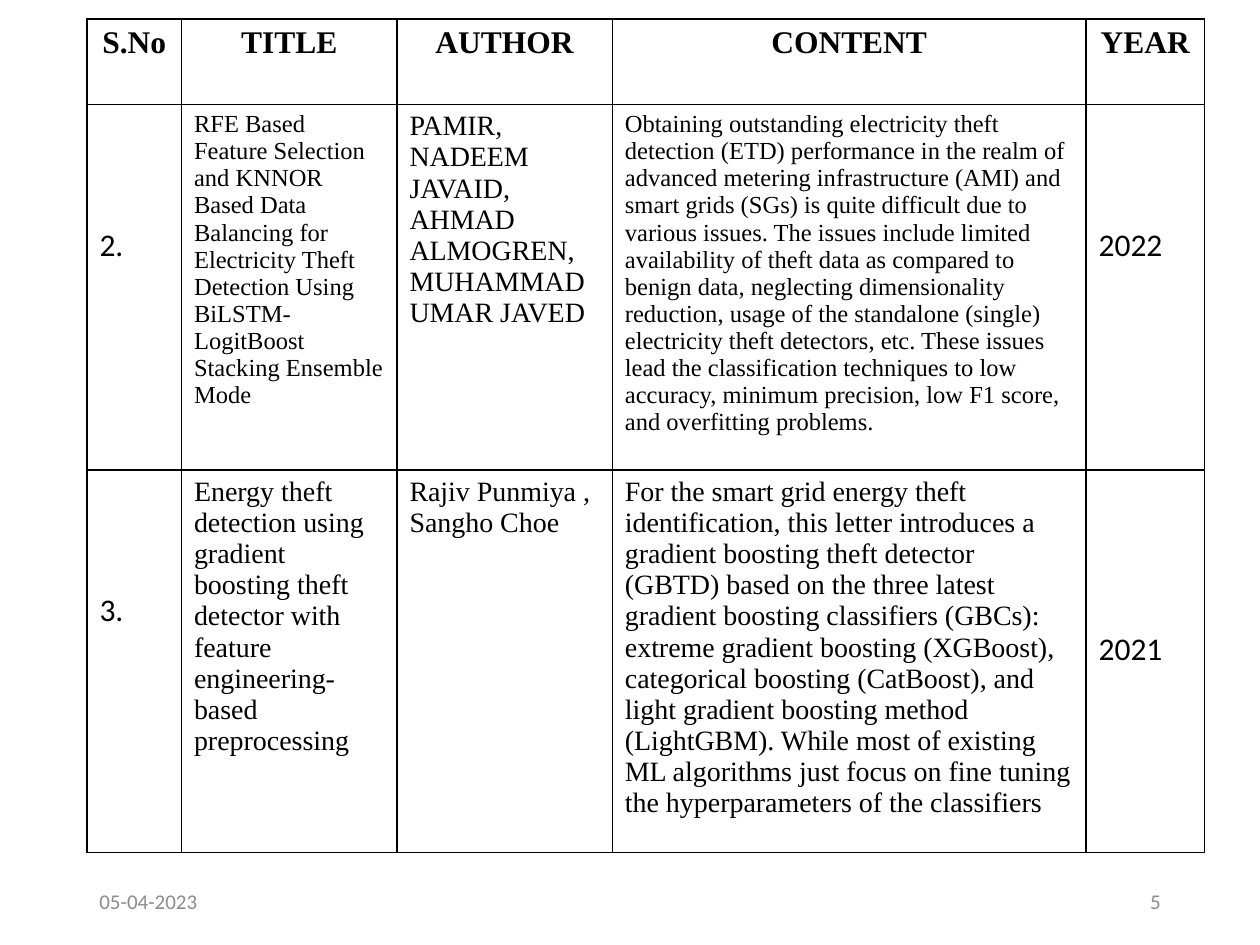
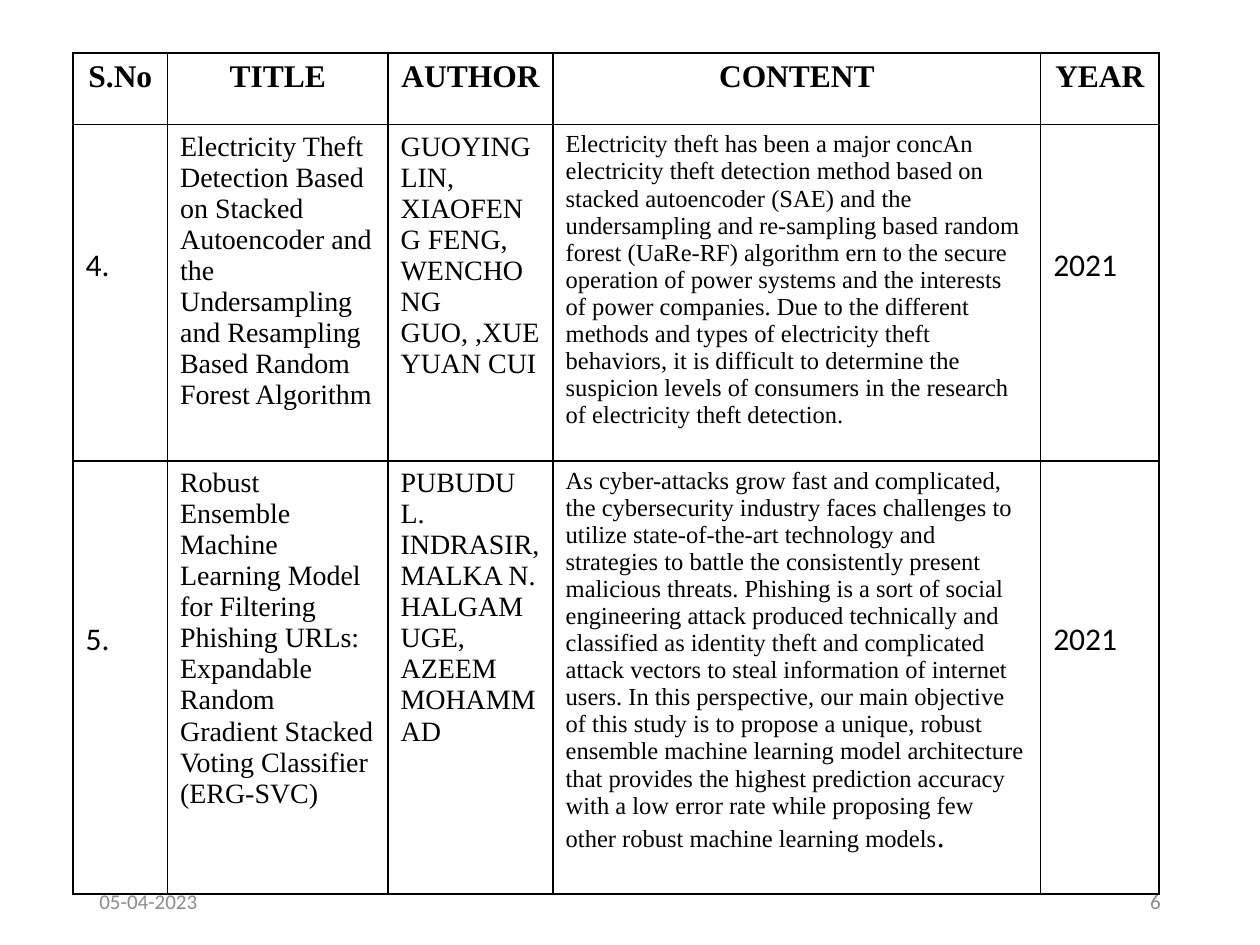
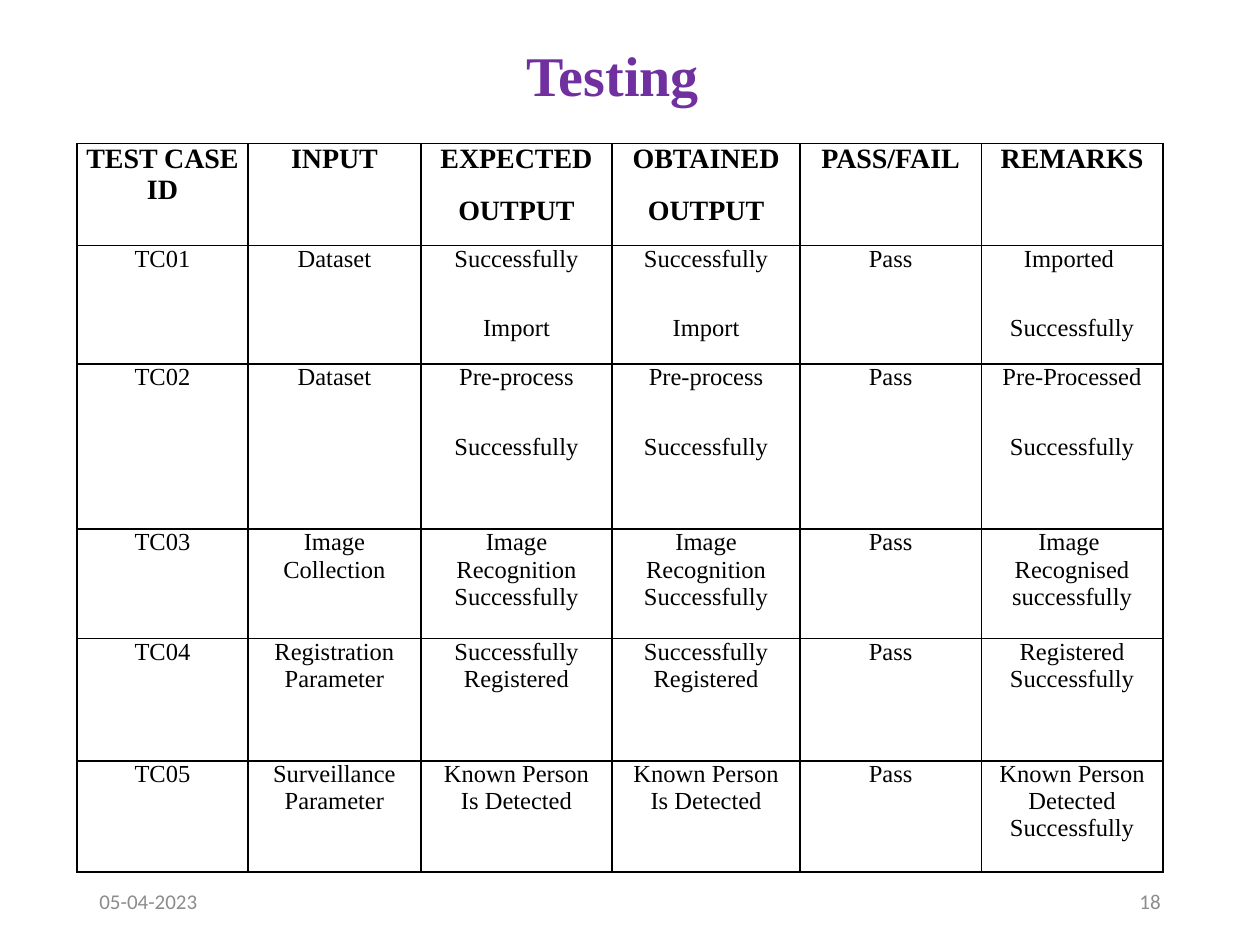
from lxml.etree import SubElement
from pptx import Presentation
from pptx.dml.color import RGBColor
from pptx.enum.text import MSO_ANCHOR as Anchor, PP_ALIGN as Align
from pptx.oxml.ns import qn
from pptx.util import Inches, Pt

BLACK = RGBColor(0x00, 0x00, 0x00)
GRAY = RGBColor(0x8C, 0x8C, 0x8C)
PURPLE = RGBColor(0x70, 0x30, 0xA0)
SERIF = "Times New Roman"
SANS = "Calibri"

DATE = "05-04-2023"
SURVEY_HEADS = ["S.No", "TITLE", "AUTHOR", "CONTENT", "YEAR"]
CELL_MARGIN = 0.05
LEAD_LINE = 0.305  # height of one 18 pt line above a number or year

# Each paper: texts by column, text sizes, lines left free above number and year
SURVEYS = [
    {
        "page": 5, "at": (0.69, 0.15),
        "cols": [0.75, 1.71, 1.71, 3.76, 0.94], "rows": [0.68, 2.68, 2.92],
        "papers": [
            (["2.",
              "RFE Based Feature Selection and KNNOR Based Data Balancing for "
              "Electricity Theft Detection Using BiLSTM-LogitBoost Stacking "
              "Ensemble Mode",
              "PAMIR, NADEEM JAVAID, AHMAD ALMOGREN, MUHAMMAD UMAR JAVED",
              "Obtaining outstanding electricity theft detection (ETD) "
              "performance in the realm of advanced metering infrastructure "
              "(AMI) and smart grids (SGs) is quite difficult due to various "
              "issues. The issues include limited availability of theft data "
              "as compared to benign data, neglecting dimensionality "
              "reduction, usage of the standalone (single) electricity theft "
              "detectors, etc. These issues lead the classification "
              "techniques to low accuracy, minimum precision, low F1 score, "
              "and overfitting problems.",
              "2022"], [18, 14, 16, 14, 18], (3, 3)),
            (["3.",
              "Energy theft detection using gradient boosting theft detector "
              "with feature engineering-based preprocessing",
              "Rajiv Punmiya , Sangho Choe",
              "For the smart grid energy theft identification, this letter "
              "introduces a gradient boosting theft detector (GBTD) based on "
              "the three latest gradient boosting classifiers (GBCs): extreme "
              "gradient boosting (XGBoost), categorical boosting (CatBoost), "
              "and light gradient boosting method (LightGBM). While most of "
              "existing ML algorithms just focus on fine tuning the "
              "hyperparameters of the classifiers",
              "2021"], [18, 16, 16, 16, 18], (3, 4)),
        ],
    },
    {
        "page": 6, "at": (0.58, 0.42),
        "cols": [0.75, 1.75, 1.31, 3.87, 0.94], "rows": [0.57, 2.6, 3.17],
        "papers": [
            (["4.",
              "Electricity Theft Detection Based on Stacked Autoencoder and "
              "the Undersampling and Resampling Based Random Forest Algorithm",
              "GUOYING LIN, XIAOFENG FENG, WENCHONG GUO, ,XUEYUAN CUI",
              "Electricity theft has been a major concAn electricity theft "
              "detection method based on stacked autoencoder (SAE) and the "
              "undersampling and re-sampling based random forest (UaRe-RF) "
              "algorithm ern to the secure operation of power systems and the "
              "interests of power companies. Due to the different methods and "
              "types of electricity theft behaviors, it is difficult to "
              "determine the suspicion levels of consumers in the research of "
              "electricity theft detection.",
              "2021"], [18, 16, 16, 14, 18], (3, 3)),
            (["5.",
              "Robust Ensemble Machine Learning Model for Filtering Phishing "
              "URLs: Expandable Random Gradient Stacked Voting Classifier "
              "(ERG-SVC)",
              "PUBUDU L. INDRASIR, MALKA N. HALGAMUGE, AZEEM MOHAMMAD",
              "As cyber-attacks grow fast and complicated, the cybersecurity "
              "industry faces challenges to utilize state-of-the-art "
              "technology and strategies to battle the consistently present "
              "malicious threats. Phishing is a sort of social engineering "
              "attack produced technically and classified as identity theft "
              "and complicated attack vectors to steal information of internet "
              "users. In this perspective, our main objective of this study is "
              "to propose a unique, robust ensemble machine learning model "
              "architecture that provides the highest prediction accuracy with "
              "a low error rate while proposing few other robust machine "
              "learning models",
              "2021"], [18, 16, 16, 14, 18], (4, 4)),
        ],
    },
]
CLOSING_DOT = (2, 3, ".", 18)  # row, column, text and size on the last survey

# Tests: row height, gap between paragraphs in points, cell texts
TESTS = {
    "page": 18, "title": "Testing ", "at": (0.61, 1.14),
    "cols": [1.36, 1.37, 1.52, 1.49, 1.44, 1.44],
    "rows": [
        (0.81, 12, ["TEST CASE ID", "INPUT", "EXPECTED\nOUTPUT",
                    "OBTAINED\nOUTPUT", "PASS/FAIL", "REMARKS"]),
        (0.94, 24, ["TC01", "Dataset", "Successfully\nImport",
                    "Successfully\nImport", "Pass",
                    "Imported \nSuccessfully"]),
        (1.31, 24, ["TC02", "Dataset", "Pre-process\nSuccessfully",
                    "Pre-process\nSuccessfully", "Pass",
                    "Pre-Processed\nSuccessfully"]),
        (0.87, 0, ["TC03", "Image Collection",
                   "Image Recognition\nSuccessfully",
                   "Image Recognition\nSuccessfully", "Pass",
                   "Image \nRecognised\nsuccessfully"]),
        (0.97, 0, ["TC04", "Registration\nParameter",
                   "Successfully\nRegistered", "Successfully\nRegistered",
                   "Pass", "Registered\nSuccessfully"]),
        (0.88, 0, ["TC05", "Surveillance\nParameter",
                   "Known Person\nIs Detected", "Known Person\nIs Detected",
                   "Pass", "Known Person Detected Successfully"]),
    ],
}


def style(span, size, font=SERIF, color=BLACK, bold=False):
    span.font.size = Pt(size)
    span.font.name = font
    span.font.color.rgb = color
    span.font.bold = bold


def write(frame, text, size, align=Align.LEFT, gap=0, **look):
    frame.text = text
    for index, para in enumerate(frame.paragraphs):
        para.alignment = align
        if index and gap:
            para.space_before = Pt(gap)
        for span in para.runs:
            style(span, size, **look)


def add_text(page, at, text, size, **look):
    box = page.shapes.add_textbox(*map(Inches, at))
    frame = box.text_frame
    frame.word_wrap = True
    frame.vertical_anchor = Anchor.MIDDLE
    write(frame, text, size, **look)
    return frame


def add_footer(page, number):
    add_text(page, (0.69, 6.95, 2.25, 0.4), DATE, 12, font=SANS, color=GRAY)
    add_text(page, (7.06, 6.95, 2.25, 0.4), str(number), 12,
             align=Align.RIGHT, font=SANS, color=GRAY)


def add_borders(cell):
    props = cell._tc.get_or_add_tcPr()
    for side in ("lnL", "lnR", "lnT", "lnB"):
        line = SubElement(props, qn(f"a:{side}"), w=str(Pt(1)))
        fill = SubElement(line, qn("a:solidFill"))
        SubElement(fill, qn("a:srgbClr"), val=str(BLACK))


def add_grid(page, at, widths, heights):
    """Add an unfilled table with thin black lines."""
    size = (sum(widths), sum(heights))
    table = page.shapes.add_table(len(heights), len(widths),
                                  *map(Inches, (*at, *size))).table
    table.first_row = table.horz_banding = False
    for column, width in zip(table.columns, widths):
        column.width = Inches(width)
    for row, height in zip(table.rows, heights):
        row.height = Inches(height)
    for cell in table.iter_cells():
        add_borders(cell)
        cell.fill.background()
    return table


def add_survey(page, survey):
    add_footer(page, survey["page"])
    table = add_grid(page, survey["at"], survey["cols"], survey["rows"])
    for col, head in enumerate(SURVEY_HEADS):
        write(table.cell(0, col).text_frame, head, 18,
              align=Align.CENTER, bold=True)
    last = len(SURVEY_HEADS) - 1
    for row, (texts, sizes, leads) in enumerate(survey["papers"], 1):
        lead_lines = {0: leads[0], last: leads[1]}
        for col, (text, size) in enumerate(zip(texts, sizes)):
            cell = table.cell(row, col)
            font = SANS if col in lead_lines else SERIF
            write(cell.text_frame, text, size, font=font)
            if col in lead_lines:
                cell.margin_top = Inches(
                    CELL_MARGIN + LEAD_LINE * lead_lines[col])
    return table


def add_tests(page, tests):
    title = add_text(page, (0.61, 0.25, 8.62, 0.74), tests["title"], 32,
                     align=Align.CENTER, color=PURPLE, bold=True)
    title.paragraphs[0].line_spacing = 0.9
    heights = [height for height, _, _ in tests["rows"]]
    table = add_grid(page, tests["at"], tests["cols"], heights)
    for row, (_, gap, texts) in enumerate(tests["rows"]):
        for col, text in enumerate(texts):
            cell = table.cell(row, col)
            cell.margin_left = cell.margin_right = Inches(0.06)
            cell.margin_top = cell.margin_bottom = 0
            write(cell.text_frame, text, 14 if row else 16,
                  align=Align.CENTER, gap=gap, bold=row == 0)
    add_footer(page, tests["page"])


def main():
    deck = Presentation()
    deck.slide_width, deck.slide_height = Inches(10), Inches(7.5)
    blank = deck.slide_layouts[6]

    # Literature survey pages
    for survey in SURVEYS:
        table = add_survey(deck.slides.add_slide(blank), survey)
    row, col, text, size = CLOSING_DOT
    dot = table.cell(row, col).text_frame.paragraphs[0].add_run()
    dot.text = text
    style(dot, size)

    # Test results page
    add_tests(deck.slides.add_slide(blank), TESTS)
    deck.save("out.pptx")


if __name__ == "__main__":
    main()
